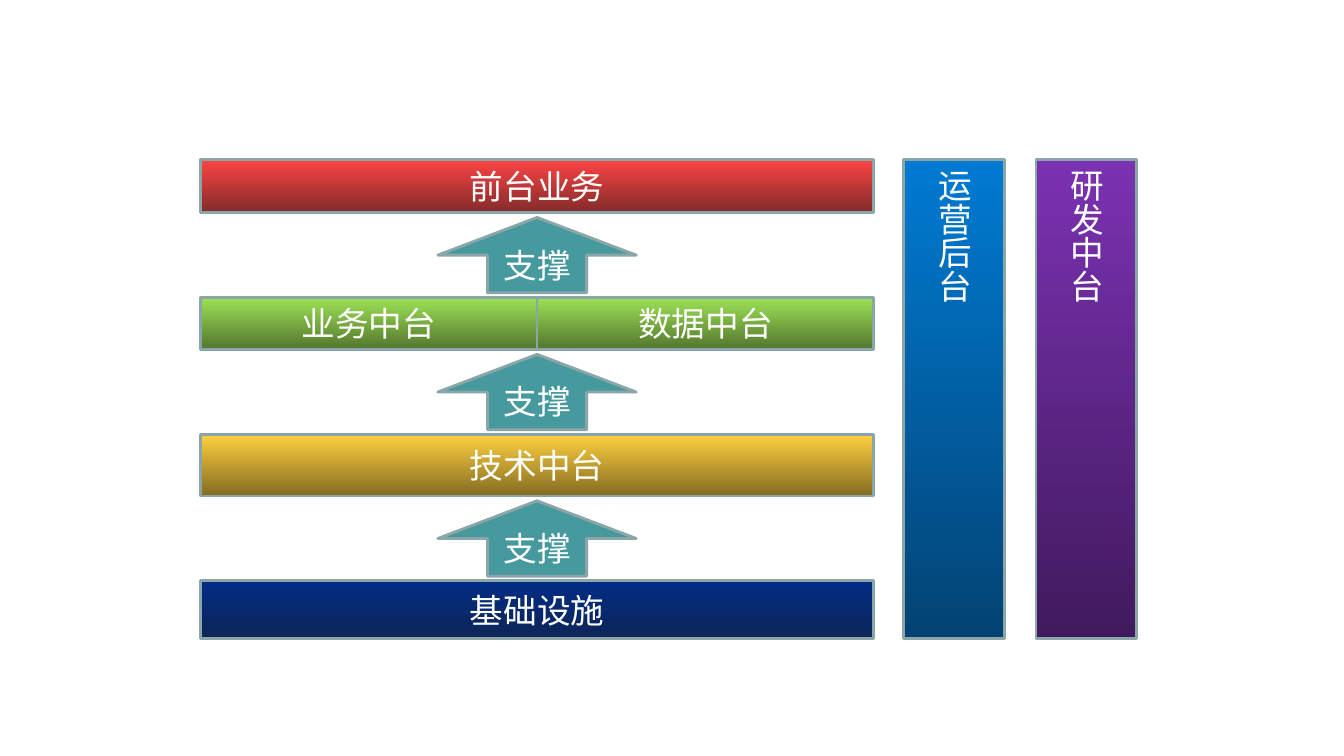
"""Build a slide of platform layers, support arrows and two side columns."""
from pptx import Presentation
from pptx import util as u
from pptx.dml.color import RGBColor
from pptx.enum import shapes, text


def color(value):
    return RGBColor.from_string(value)


class Diagram:
    line_color = "8AA6A8"
    font = {"name": "Arial", "size": u.Pt(24)}
    frame = {"word_wrap": True, "vertical_anchor": text.MSO_ANCHOR.MIDDLE}

    def __init__(self, slide):
        self.slide = slide

    def shape(self, kind, box, label):
        shape = self.slide.shapes.add_shape(kind, *(u.Cm(value) for value in box))
        shape.shadow.inherit = False
        shape.line.color.rgb = color(self.line_color)
        shape.line.width = u.Pt(2)
        for name, value in self.frame.items():
            setattr(shape.text_frame, name, value)
        paragraph = shape.text_frame.paragraphs[0]
        paragraph.alignment = text.PP_ALIGN.CENTER
        run = paragraph.add_run()
        run.text = label
        for name, value in self.font.items():
            setattr(run.font, name, value)
        run.font.color.rgb = color("FFFFFF")
        return shape

    def bar(self, box, label, gradient):
        shape = self.shape(shapes.MSO_SHAPE.RECTANGLE, box, label)
        shape.fill.gradient()
        shape.fill.gradient_angle = 270
        for stop, value in zip(shape.fill.gradient_stops, gradient):
            stop.color.rgb = color(value)
        return shape

    def column(self, box, label, gradient):
        shape = self.bar(box, label, gradient)
        shape.text_frame._txBody.bodyPr.set("vert", "eaVert")

    def arrow(self, box, label):
        shape = self.shape(shapes.MSO_SHAPE.UP_ARROW, box, label)
        shape.fill.solid()
        shape.fill.fore_color.rgb = color("46999D")


LEFT, WIDTH, TOP, BOTTOM = 5.05, 16.97, 4.01, 16.1
ARROW_WIDTH, ARROW_HEIGHT, ARROW_GAP = 5, 1.9, 0.12
COLUMN_LEFT, COLUMN_WIDTH, COLUMN_STEP = 22.78, 2.54, 3.33
LAYERS = [
    (TOP, 1.35, ["前台业务"], ("FE4444", "832B2B")),
    (7.49, 1.32, ["业务中台", "数据中台"], ("9EE256", "52762D")),
    (10.95, 1.55, ["技术中台"], ("FECF40", "846C21")),
    (14.63, 1.47, ["基础设施"], ("012D86", "0E2557")),
]
COLUMNS = [
    ("运营后台", ("007BD3", "034373")),
    ("研发中台", ("7B32B2", "401A5D")),
]

presentation = Presentation()
presentation.slide_width, presentation.slide_height = u.Cm(33.87), u.Cm(19.05)
diagram = Diagram(presentation.slides.add_slide(presentation.slide_layouts[6]))

for top, height, labels, gradient in LAYERS:
    width = WIDTH / len(labels)
    for index, label in enumerate(labels):
        diagram.bar((LEFT + index * width, top, width, height), label, gradient)

arrow_left = LEFT + (WIDTH - ARROW_WIDTH) / 2
for top, height, *_ in LAYERS[:-1]:
    arrow_top = top + height + ARROW_GAP
    diagram.arrow((arrow_left, arrow_top, ARROW_WIDTH, ARROW_HEIGHT), "支撑")

for index, (label, gradient) in enumerate(COLUMNS):
    left = COLUMN_LEFT + index * COLUMN_STEP
    diagram.column((left, TOP, COLUMN_WIDTH, BOTTOM - TOP), label, gradient)

presentation.save("out.pptx")
